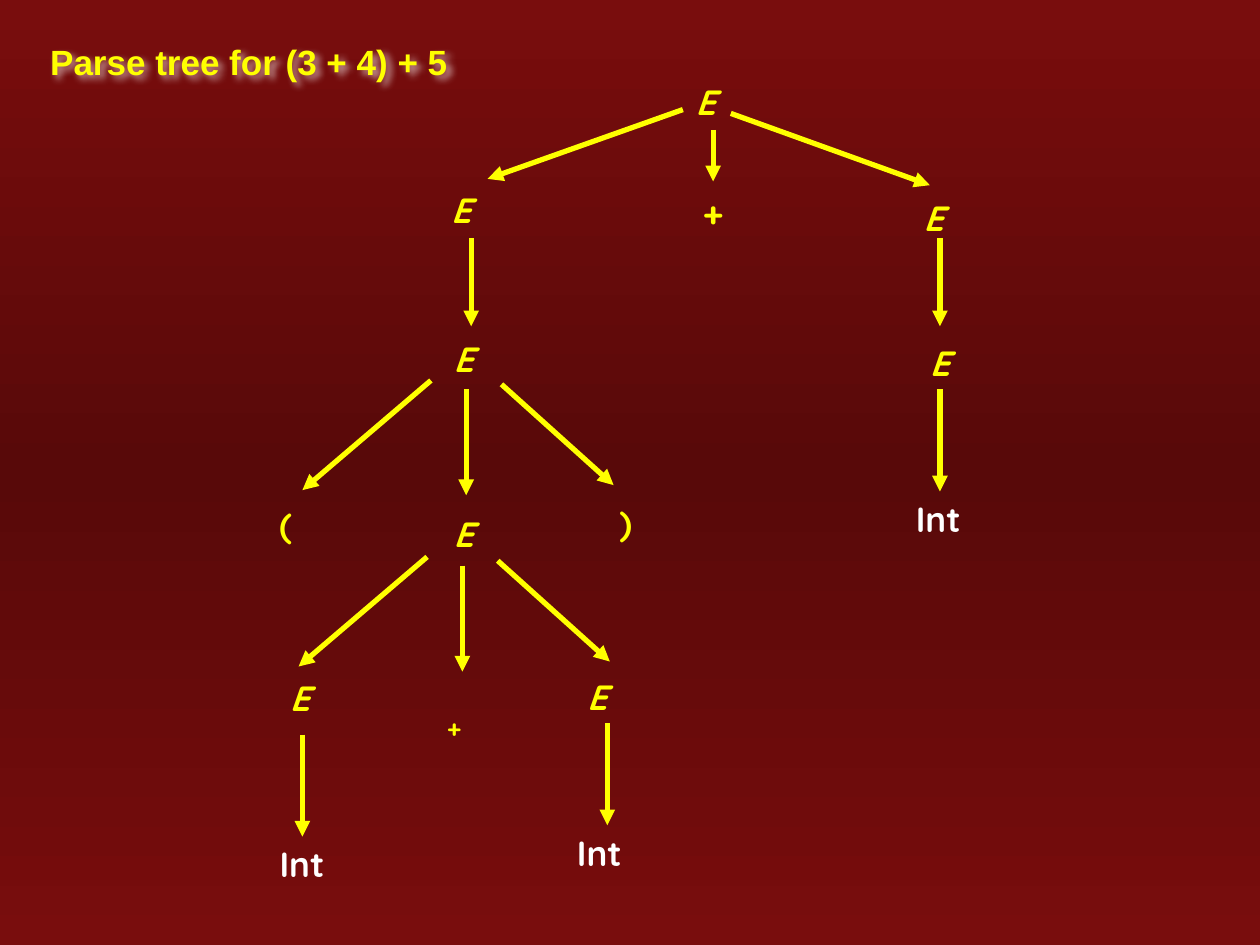
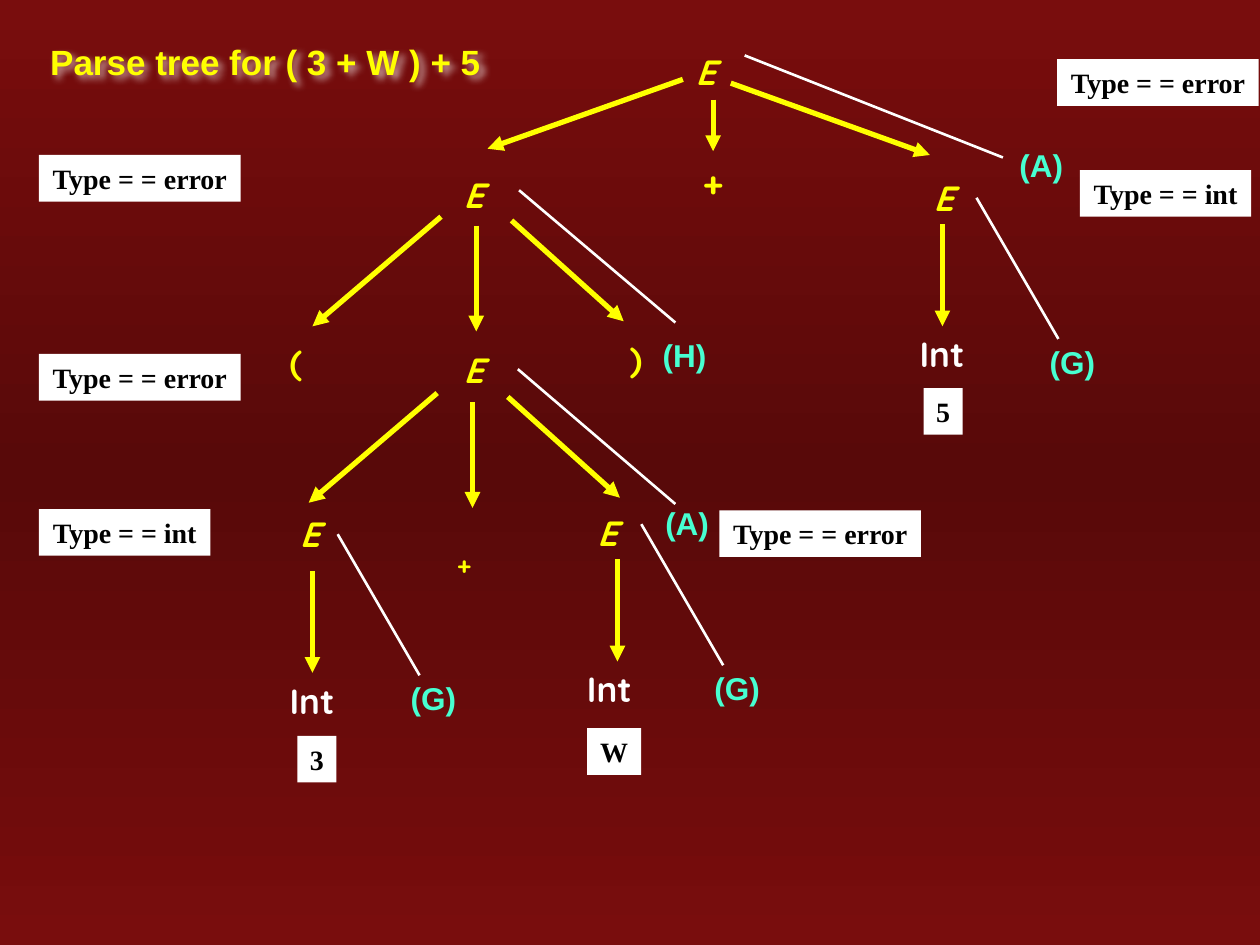
"""Build two slides that compare a parse tree with its typed version."""
from copy import deepcopy

from pptx import Presentation
from pptx import util as u
from pptx.dml.color import RGBColor
from pptx.enum import shapes, text
from pptx.oxml import parse_xml
from pptx.oxml.ns import nsdecls, qn

RED = RGBColor(0x79, 0x0D, 0x0D)
DARK = RGBColor(0x58, 0x09, 0x09)
GOLD = RGBColor(0xFF, 0xFF, 0x00)
MINT = RGBColor(0x47, 0xFF, 0xD1)
WHITE = RGBColor(0xFF, 0xFF, 0xFF)
BLACK = RGBColor(0, 0, 0)

WIDE, HIGH = u.Inches(10), u.Inches(7.5)
COLS, ROWS = 100, 75
SANS, ROUND, SERIF = "Arial", "Quicksand", "Times New Roman"


def col(n):
    """Return n grid columns as a length."""
    return round(WIDE * n / COLS)


def row(n):
    """Return n grid rows as a length."""
    return round(HIGH * n / ROWS)


def paint(master):
    """Give every slide the dark red gradient."""
    fill = master.background.fill
    fill.gradient()
    fill.gradient_angle = 270
    for stop in fill.gradient_stops:
        stop.color.rgb = RED
    first = next(master.element.iter(qn("a:gs")))
    mid = deepcopy(first)
    mid.set("pos", "50000")
    first.addnext(mid)
    fill.gradient_stops[1].color.rgb = DARK


def write(frame, words, size, face, hue, slant=False):
    """Add one bold run to the first paragraph of a frame."""
    run = frame.paragraphs[0].add_run()
    run.text = words
    font = run.font
    font.size, font.name, font.bold = u.Pt(size), face, True
    font.color.rgb = hue
    if slant:
        font.italic = True
    return run


def area(slide, x, y, wide, high):
    """Add a wrapping text box on the grid."""
    box = slide.shapes.add_textbox(col(x), row(y), col(wide), row(high))
    box.text_frame.word_wrap = True
    return box


def title(slide, words):
    """Add the slide title with its soft white glow."""
    box = area(slide, 3, 0.7, 37.3, 8.3)
    box.text_frame.vertical_anchor = text.MSO_ANCHOR.MIDDLE
    write(box.text_frame, words, 20, SANS, GOLD)
    box._element.spPr.append(parse_xml(
        f'<a:effectLst {nsdecls("a")}><a:outerShdw blurRad="50800" '
        'dist="38100" dir="2700000" algn="tl"><a:srgbClr val="FFFFFF">'
        '<a:alpha val="60000"/></a:srgbClr></a:outerShdw></a:effectLst>'))


def node(slide, x, y, words="E", hue=GOLD):
    """Add one symbol of the tree."""
    box = area(slide, x, y, 8.2 if words == "Int" else 5.3, 4.4)
    write(box.text_frame, words, 20, ROUND, hue, words == "E")


def line(slide, x, y, wide, high, hue=WHITE, thick=1.5):
    """Draw a plain line from a point by a step."""
    link = slide.shapes.add_connector(
        shapes.MSO_CONNECTOR.STRAIGHT,
        col(x), row(y), col(x + wide), row(y + high))
    link.line.color.rgb = hue
    link.line.width = u.Pt(thick)
    link._element.spPr.append(parse_xml(f'<a:effectLst {nsdecls("a")}/>'))
    return link


def arrow(slide, x, y, wide, high):
    """Draw a tree edge that ends in an arrowhead."""
    link = line(slide, x, y, wide, high, GOLD, 3)
    link.line._get_or_add_ln().append(
        parse_xml(f'<a:tailEnd {nsdecls("a")} type="triangle"/>'))


def root(slide, y):
    """Draw the top sum and its three edges."""
    node(slide, 54.2, y)
    node(slide, 54.8, y + 8.8, "+")
    arrow(slide, 54.2, y + 2.8, -15.5, 5.5)
    arrow(slide, 56.6, y + 4.4, 0, 4.1)
    arrow(slide, 58, y + 3.1, 15.8, 5.7)


def fan(slide, x, y):
    """Draw three edges that spread from a symbol."""
    arrow(slide, x, y, -10.2, 8.7)
    arrow(slide, x + 2.8, y + 0.7, 0, 8.4)
    arrow(slide, x + 5.6, y + 0.3, 8.9, 8)


def leaf(slide, x, y, stem, drop=4.3, back=0.8):
    """Draw a symbol that derives one integer."""
    node(slide, x, y)
    arrow(slide, x + stem, y + drop, 0, 8.1)
    node(slide, x - back, y + drop + 8.1, "Int", WHITE)


def group(slide, x, y):
    """Draw the bracketed sum below a symbol."""
    node(slide, x, y)
    fan(slide, x - 0.8, y + 3.9)
    node(slide, x - 13.8, y + 13.2, "(")
    node(slide, x + 13.2, y + 13, ")")
    node(slide, x, y + 13.9)
    fan(slide, x - 1.1, y + 17.9)
    box = area(slide, x - 0.5, y + 27.6, 5.6, 3.7)
    plus = write(box.text_frame, "+", 24, ROUND, GOLD)
    plus.font._element.set("baseline", "-25000")
    leaf(slide, x - 13, y + 26.9, 2, 5.1)
    leaf(slide, x + 10.6, y + 26.8, 2.6)


def rule(slide, x, y, wide, high, name, dx, dy):
    """Tie a symbol to the rule applied there."""
    line(slide, x, y, wide, high)
    frame = area(slide, x + wide + dx, y + high + dy, 4.9, 3).text_frame
    frame.margin_left = frame.margin_right = 0
    frame.margin_top = frame.margin_bottom = 0
    write(frame, f"({name})", 18, SANS, MINT)


def tag(slide, x, y, words, wide):
    """Add a white box with a type or a value."""
    box = slide.shapes.add_shape(
        shapes.MSO_SHAPE.RECTANGLE, col(x), row(y), col(wide), row(3.7))
    box.shadow.inherit = False
    box.fill.solid()
    box.fill.fore_color.rgb = WHITE
    box.line.fill.background()
    box.text_frame.word_wrap = False
    box.text_frame.paragraphs[0].alignment = text.PP_ALIGN.CENTER
    write(box.text_frame, words, 16, SERIF, BLACK)


def plain(slide):
    """Fill the slide with the untyped tree."""
    title(slide, "Parse tree for (3 + 4) + 5")
    root(slide, 5.9)
    node(slide, 34.8, 14.5)
    node(slide, 72.3, 15.1)
    for x in (37.4, 74.6):
        arrow(slide, x, 18.9, 0, 7)
    group(slide, 35, 26.3)
    leaf(slide, 72.8, 26.6, 1.8, back=1.1)


def typed(slide):
    """Fill the slide with the tree, its rules and types."""
    title(slide, "Parse tree for ( 3 + W ) + 5")
    root(slide, 3.5)
    group(slide, 35.8, 13.3)
    leaf(slide, 73.1, 13.5, 1.7, back=1.1)
    rule(slide, 59.1, 4.4, 20.5, 8.1, "A", 1.3, -0.9)
    rule(slide, 41.2, 15.1, 12.4, 10.5, "H", -1, 1.1)
    rule(slide, 41.1, 29.3, 12.5, 10.7, "A", -0.8, 0)
    for x, y in ((77.5, 15.7), (50.9, 41.6), (26.8, 42.4)):
        rule(slide, x, y, 6.5, 11.2, "G", -0.7, 0.3)
    for x, y, words in ((23.6, 58.4, "3"), (73.3, 30.8, "5")):
        tag(slide, x, y, words, 3.1)
    tag(slide, 46.6, 57.8, "W", 4.3)
    for x, y in ((3.1, 40.4), (85.7, 13.5)):
        tag(slide, x, y, "Type = = int", 13.6)
    for x, y in ((3.1, 28.1), (57.1, 40.5), (3.1, 12.3), (83.9, 4.7)):
        tag(slide, x, y, "Type = = error", 16)


def main():
    """Build and save the deck."""
    deck = Presentation()
    deck.slide_width, deck.slide_height = WIDE, HIGH
    paint(deck.slide_master)
    for fill in (plain, typed):
        fill(deck.slides.add_slide(deck.slide_layouts[6]))
    deck.save("out.pptx")


if __name__ == "__main__":
    main()
